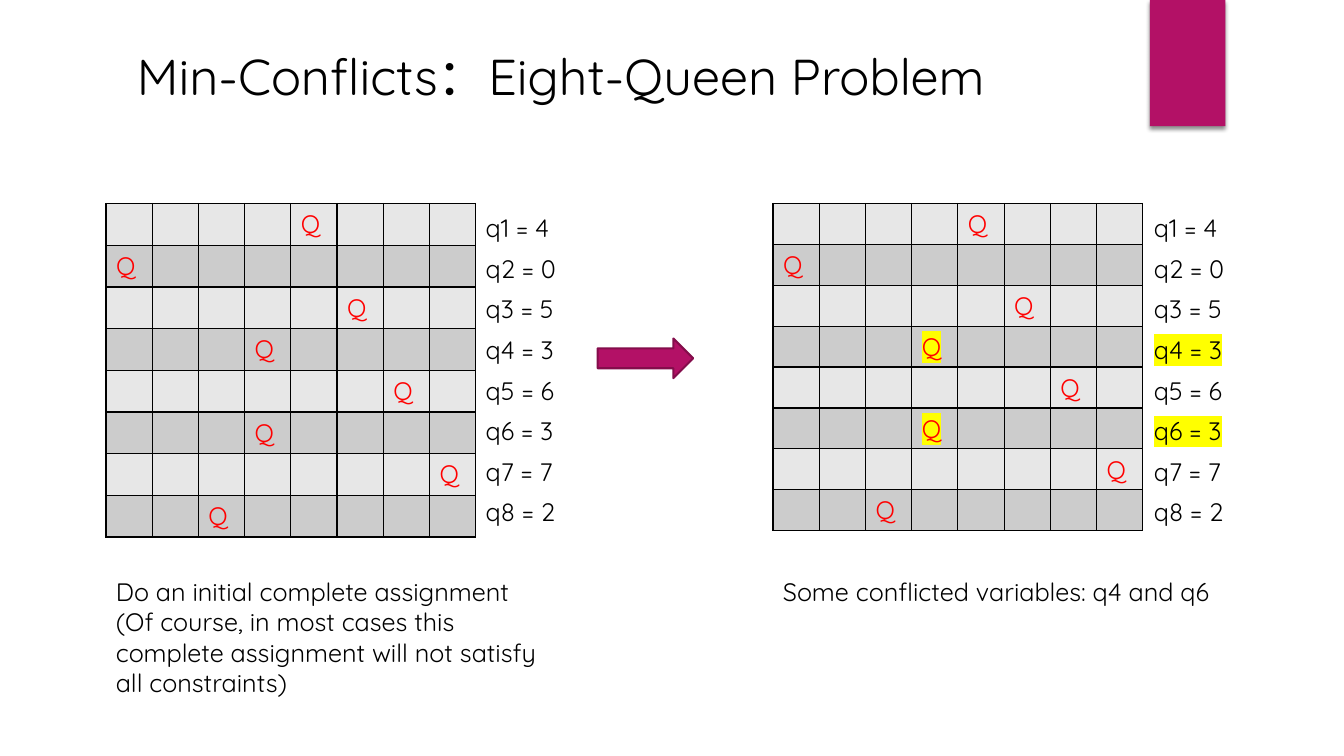
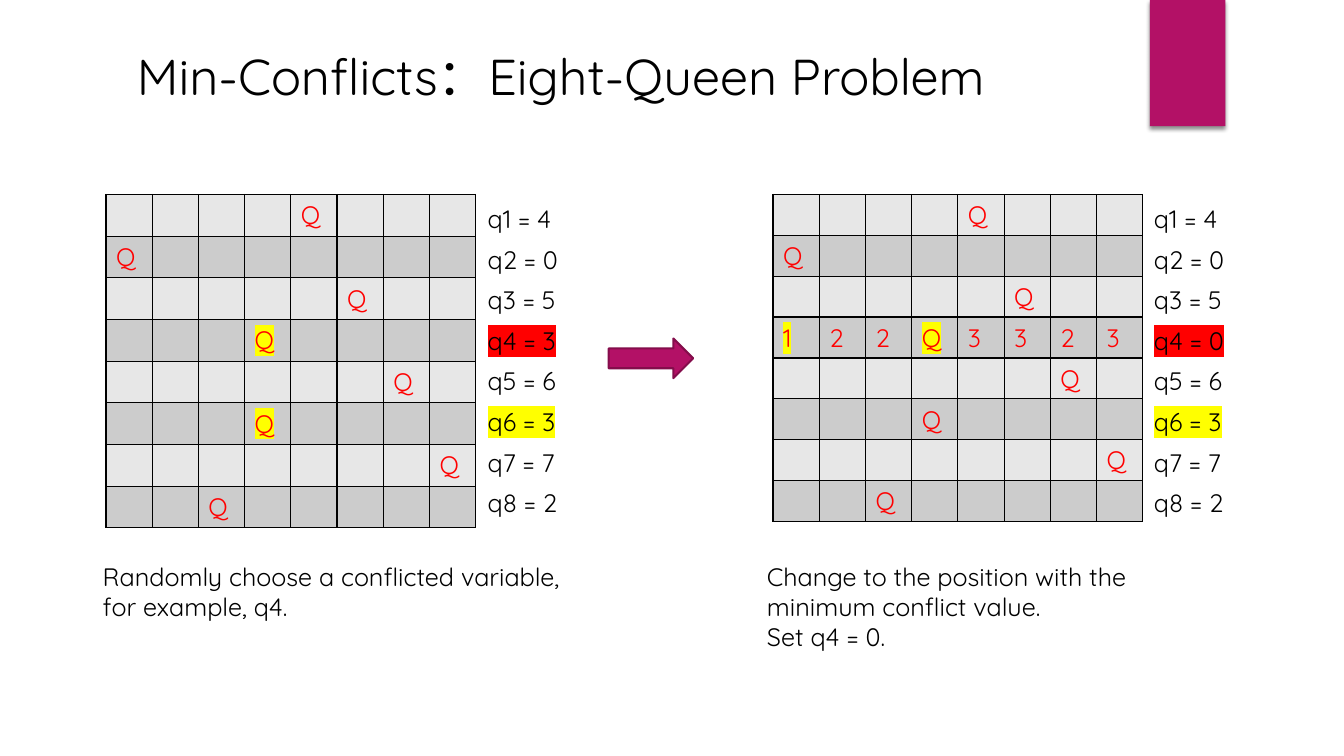
from lxml import etree
from pptx import Presentation
from pptx.dml.color import RGBColor
from pptx.enum.shapes import MSO_SHAPE as SHAPE
from pptx.enum.text import MSO_ANCHOR as ANCHOR
from pptx.oxml import parse_xml
from pptx.oxml.ns import nsdecls, qn
from pptx.util import Cm, Pt

MAGENTA, DARK_MAGENTA = "B31166", "840D4B"
BLACK, RED, YELLOW = "000000", "FF0000", "FFFF00"
ROW_FILLS = ["E7E7E7", "CCCCCC"]
FONT = "Quicksand"
TITLE = "Min-Conflicts：Eight-Queen Problem"
SIZE = 8
BOARD_WIDTH = 9.32
ARROW_TIP = 17.47


def paint(target, color):
    target.solid()
    target.fore_color.rgb = RGBColor.from_string(color)


def write(frame, lines, size=18, color=BLACK, spacing=None, marks=None, anchor=ANCHOR.TOP):
    """Fill a text frame; marks maps a line index to its highlight colour."""
    frame.word_wrap = True
    frame.vertical_anchor = anchor
    for index, line in enumerate(lines):
        paragraph = frame.add_paragraph() if index else frame.paragraphs[0]
        if spacing:
            paragraph.line_spacing = Pt(spacing)
        run = paragraph.add_run()
        run.text = line
        run.font.size = Pt(size)
        run.font.name = FONT
        paint(run.font.fill, color)
        if marks and index in marks:
            highlight = parse_xml(f'<a:highlight {nsdecls("a")}>'
                                  f'<a:srgbClr val="{marks[index]}"/></a:highlight>')
            run.font._element.find(qn("a:solidFill")).addnext(highlight)


# Content: the column of each row's queen, and what each step adds to it
queens = [4, 0, 5, 3, 6, 3, 7, 2]
queen_cells = {(row, column): "Q" for row, column in enumerate(queens)}
conflict_counts = {(3, column): count for column, count in enumerate("122Q3323")}
both_queens = {(3, 3): YELLOW, (5, 3): YELLOW}
chosen = {3: RED, 5: YELLOW}

steps = [
    dict(top=5.13, caption_top=14.4, arrow_left=15.06, boards=[
        dict(left=2.67, row_height=1.05, label_left=11.99, caption_left=2.67, caption_width=11.35,
             caption=["Do an initial complete assignment",
                      "(Of course, in most cases this complete assignment will not satisfy "
                      "all constraints)"]),
        dict(left=19.48, row_height=1.03, label_left=28.83, caption_left=19.48, caption_width=14.2,
             caption=["Some conflicted variables: q4 and q6"],
             cell_marks=both_queens, label_marks={3: YELLOW, 5: YELLOW}),
    ]),
    dict(top=4.9, caption_top=14.02, arrow_left=15.34, boards=[
        dict(left=2.67, row_height=1.05, label_left=12.04, caption_left=2.34, caption_width=13,
             caption=["Randomly choose a conflicted variable,", "for example, q4."],
             cell_marks=both_queens, label_marks=chosen),
        dict(left=19.48, row_height=1.03, label_left=28.83, caption_left=19.08, caption_width=10.6,
             caption=["Change to the position with the minimum conflict value.", "Set q4 = 0."],
             counts=conflict_counts, moved={3: 0},
             cell_marks={(3, 0): YELLOW, (3, 3): YELLOW}, label_marks=chosen),
    ]),
]

deck = Presentation()
deck.slide_width, deck.slide_height = Cm(33.87), Cm(19.05)

for step in steps:
    shapes = deck.slides.add_slide(deck.slide_layouts[6]).shapes

    # Corner flag with a soft shadow
    flag = shapes.add_shape(SHAPE.RECTANGLE, Cm(28.98), 0, Cm(1.9), Cm(3.18))
    paint(flag.fill, MAGENTA)
    flag.line.fill.background()
    flag.shadow.inherit = False
    effects = flag._element.spPr.find(qn("a:effectLst"))
    shadow = etree.SubElement(effects, qn("a:outerShdw"), blurRad="38100", dist="25400",
                              dir="5400000", rotWithShape="0")
    shade = etree.SubElement(shadow, qn("a:srgbClr"), val=BLACK)
    etree.SubElement(shade, qn("a:alpha"), val="45000")

    # Title
    title = shapes.add_textbox(Cm(3.2), Cm(0.91), Cm(24.33), Cm(1.96))
    write(title.text_frame, [TITLE], size=36, anchor=ANCHOR.MIDDLE)

    # Arrow between the boards
    arrow = shapes.add_shape(SHAPE.RIGHT_ARROW, Cm(step["arrow_left"]), Cm(8.53),
                             Cm(ARROW_TIP - step["arrow_left"]), Cm(1))
    paint(arrow.fill, MAGENTA)
    paint(arrow.line.fill, DARK_MAGENTA)
    arrow.line.width = Pt(1.5)
    arrow.shadow.inherit = False

    for board in step["boards"]:
        # Chessboard
        row_height = board["row_height"]
        grid = shapes.add_table(SIZE, SIZE, Cm(board["left"]), Cm(step["top"]),
                                Cm(BOARD_WIDTH), Cm(SIZE * row_height)).table
        grid.first_row = grid.horz_banding = False
        for column in grid.columns:
            column.width = Cm(BOARD_WIDTH / SIZE)
        cell_texts = queen_cells | board.get("counts", {})
        cell_marks = board.get("cell_marks", {})
        for row in range(SIZE):
            grid.rows[row].height = Cm(row_height)
            for column in range(SIZE):
                cell = grid.cell(row, column)
                cell.margin_bottom = Cm(0.08)
                spot = (row, column)
                if spot in cell_texts:
                    marks = {0: cell_marks[spot]} if spot in cell_marks else None
                    write(cell.text_frame, [cell_texts[spot]], color=RED, marks=marks)
                properties = cell._tc.get_or_add_tcPr()
                for side in ("lnL", "lnR", "lnT", "lnB"):
                    properties.append(parse_xml(
                        f'<a:{side} {nsdecls("a")} w="12700"><a:solidFill>'
                        f'<a:srgbClr val="{BLACK}"/></a:solidFill></a:{side}>'))
                paint(cell.fill, ROW_FILLS[row % 2])

        # Assignment beside each row
        columns = dict(enumerate(queens)) | board.get("moved", {})
        labels = shapes.add_textbox(Cm(board["label_left"]), Cm(step["top"] - 0.16),
                                    Cm(2.42), Cm(8.4))
        write(labels.text_frame, [f"q{row + 1} = {column}" for row, column in columns.items()],
              spacing=29, marks=board.get("label_marks"))

        # Caption below
        caption = shapes.add_textbox(Cm(board["caption_left"]), Cm(step["caption_top"]),
                                     Cm(board["caption_width"]), Cm(0.8 * len(board["caption"]) + 0.25))
        write(caption.text_frame, board["caption"])

deck.save("out.pptx")
